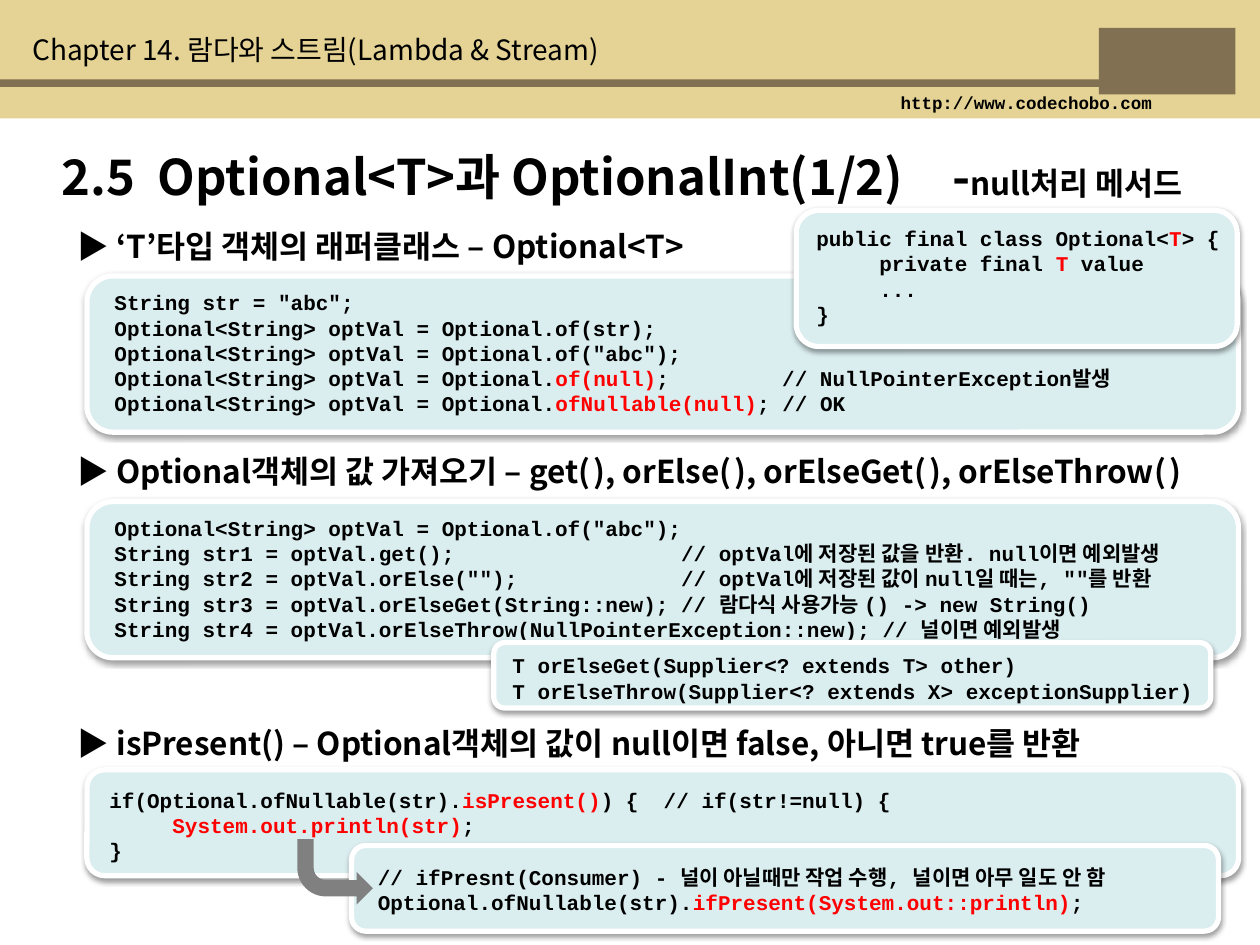
from dataclasses import dataclass

from lxml.etree import SubElement
from pptx import Presentation
from pptx.dml.color import RGBColor
from pptx.enum.shapes import MSO_SHAPE
from pptx.enum.text import MSO_ANCHOR
from pptx.oxml.ns import qn
from pptx.util import Pt


@dataclass(frozen=True)
class Theme:
    sand: str = "E4D394"
    brown: str = "817051"
    panel: str = "DAEDEF"
    white: str = "FFFFFF"
    gray: str = "808080"
    black: str = "000000"
    red: str = "FF0000"
    sans: str = "Noto Sans CJK KR"
    mono: str = "Courier New"
    title: int = 28
    heading: int = 18
    chapter: int = 16
    code: int = 12
    address: int = 10
    gap: int = 8


theme = Theme()


def add_shape(kind, area, fill, framed=False):
    """Draw a filled shape; a framed one has a white border and a soft shadow."""
    shape = slide.shapes.add_shape(kind, *map(Pt, area))
    shape.shadow.inherit = False
    shape.fill.solid()
    shape.fill.fore_color.rgb = RGBColor.from_string(fill)
    if not framed:
        shape.line.fill.background()
        return shape
    shape.line.color.rgb = RGBColor.from_string(theme.white)
    shape.line.width = Pt(3)
    effects = shape._element.spPr.find(qn("a:effectLst"))
    shadow = SubElement(effects, qn("a:outerShdw"), blurRad=str(Pt(3.1)),
                        dist=str(Pt(1.6)), dir="5400000", rotWithShape="0")
    color = SubElement(shadow, qn("a:srgbClr"), val=theme.black)
    SubElement(color, qn("a:alpha"), val="38000")
    return shape


def add_text(area, text, size, font=theme.sans, bold=True, accent_size=None,
             accent_color=theme.black, anchor=MSO_ANCHOR.TOP, spacing=None):
    """Write one paragraph a line; every second piece between bars is accented."""
    box = slide.shapes.add_textbox(*map(Pt, area))
    frame = box.text_frame
    frame.word_wrap = True
    frame.vertical_anchor = anchor
    for number, line in enumerate(text.split("\n")):
        para = frame.add_paragraph() if number else frame.paragraphs[0]
        if spacing:
            para.line_spacing = Pt(spacing)
        for index, piece in enumerate(line.split("|")):
            if not piece:
                continue
            accented = index % 2 == 1
            span = para.add_run()
            span.text = piece
            span.font.size = Pt(accent_size if accented and accent_size else size)
            span.font.bold = bold
            span.font.name = font
            span.font.color.rgb = RGBColor.from_string(
                accent_color if accented else theme.black)
            SubElement(span.font._element, qn("a:ea"), typeface=theme.sans)
    return box


deck = Presentation()
deck.slide_width, deck.slide_height = Pt(720), Pt(540)
slide = deck.slides.add_slide(deck.slide_layouts[6])

# Header band, with a plain block in the corner
header_blocks = [
    ((0, 0, 720, 67.7), theme.sand),
    ((0, 45.4, 660, 4.3), theme.brown),
    ((628, 16, 78, 38), theme.brown),
]
for area, fill in header_blocks:
    add_shape(MSO_SHAPE.RECTANGLE, area, fill)
add_text((507.6, 49, 160, 19.4), "http://www.codechobo.com", theme.address, theme.mono)
add_text((11.5, 15.1, 447.8, 26.6), "Chapter 14. 람다와 스트림(Lambda & Stream)",
         theme.chapter, bold=False)

# Section headings
headings = [
    (126, 677.5, "▶ ‘T’타입 객체의 래퍼클래스 – Optional<T>"),
    (254.9, 756.7, "▶ Optional객체의 값 가져오기 – "
                   "get(| |), orElse(| |), orElseGet(| |), orElseThrow(| |)"),
    (410.4, 677.5, "▶ isPresent() – Optional객체의 값이 null이면 false, 아니면 true를 반환"),
]
for top, width, text in headings:
    box = add_text((37.4, top, width, 28.8), text, theme.heading, accent_size=theme.gap)
    properties = box.text_frame.paragraphs[0]._p.get_or_add_pPr()
    properties.set("marL", str(Pt(21)))
    properties.set("indent", str(-Pt(21)))

# Code panels: panel area, text area, anchor, code with the accents between bars
panels = [
    ((49.7, 439.9, 658.1, 60.5), (55.4, 445.7, 663.8, 51.1), MSO_ANCHOR.BOTTOM,
     """if(Optional.ofNullable(str).|isPresent()|) {  // if(str!=null) {
     |System.out.println(str)|;
}"""),
    ((49.7, 157.7, 658.1, 89.3), (58.3, 161.3, 663.8, 79.9), MSO_ANCHOR.BOTTOM,
     """String str = "abc";
Optional<String> optVal = Optional.of(str);
Optional<String> optVal = Optional.of("abc");
Optional<String> optVal = Optional.|of(null)|;         // NullPointerException발생
Optional<String> optVal = Optional.|ofNullable(null)|; // OK"""),
    ((455, 120.2, 252, 77.8), (459.4, 126.7, 254.2, 63.4), MSO_ANCHOR.BOTTOM,
     """public final class Optional<|T|> {
     private final |T| value
     ...
}"""),
    ((49.7, 286.6, 658.1, 89.3), (58.3, 290.2, 663.8, 79.9), MSO_ANCHOR.BOTTOM,
     """Optional<String> optVal = Optional.of("abc");
String str1 = optVal.get();                  // optVal에 저장된 값을 반환. null이면 예외발생
String str2 = optVal.orElse("");             // optVal에 저장된 값이 null일 때는, ""를 반환
String str3 = optVal.orElseGet(String::new); // 람다식 사용가능 () -> new String()
String str4 = optVal.orElseThrow(NullPointerException::new); // 널이면 예외발생"""),
    ((282.2, 367.2, 409.7, 37.4), (285.8, 377.3, 413.3, 28.1), MSO_ANCHOR.BOTTOM,
     """T orElseGet(Supplier<? extends T> other)
T orElseThrow(Supplier<? extends X> exceptionSupplier)"""),
    ((200.9, 483.1, 495.4, 49), (208.8, 490.3, 483.8, 36), MSO_ANCHOR.MIDDLE,
     """// ifPresnt(Consumer) - 널이 아닐때만 작업 수행, 널이면 아무 일도 안 함
Optional.ofNullable(str).|ifPresent(System.out::println)|;"""),
]
for panel_area, text_area, anchor, code in panels:
    add_shape(MSO_SHAPE.ROUNDED_RECTANGLE, panel_area, theme.panel, framed=True)
    add_text(text_area, code, theme.code, theme.mono, accent_color=theme.red,
             anchor=anchor, spacing=14.4)

arrow = add_shape(MSO_SHAPE.BENT_ARROW, (169.9, 479.5, 43.2, 37.4), theme.gray)
arrow.rotation = 180
arrow._element.spPr.xfrm.set("flipH", "1")

# Slide title, with tab stops for its wide gaps
title = add_text((28.1, 79.9, 774, 41),
                 "2.5\tOptional<T>과 OptionalInt(1/2)\t-|null처리 메서드",
                 theme.title, accent_size=theme.heading)
tabs = SubElement(title.text_frame.paragraphs[0]._p.get_or_add_pPr(), qn("a:tabLst"))
for stop in (55, 509):
    SubElement(tabs, qn("a:tab"), pos=str(Pt(stop)), algn="l")

deck.save("out.pptx")
